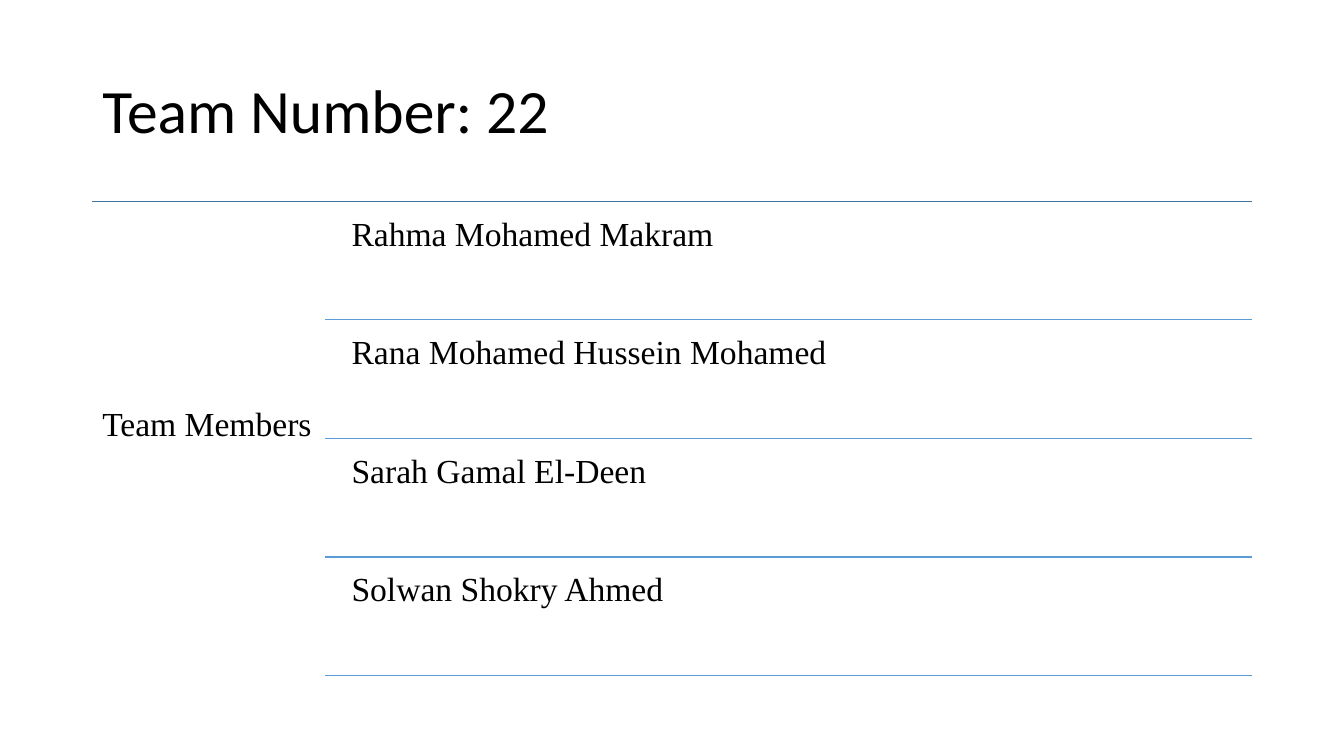
from pptx import Presentation
from pptx.dml.color import RGBColor
from pptx.enum.shapes import MSO_CONNECTOR
from pptx.enum.text import MSO_ANCHOR, MSO_AUTO_SIZE, PP_ALIGN
from pptx.oxml.ns import qn
from pptx.util import Pt

STRAIGHT = MSO_CONNECTOR.STRAIGHT
TOP, MIDDLE = MSO_ANCHOR.TOP, MSO_ANCHOR.MIDDLE
LEFT_ALIGNED = PP_ALIGN.LEFT
NO_AUTOFIT = MSO_AUTO_SIZE.NONE

BLACK = RGBColor(0x00, 0x00, 0x00)
DARK_BLUE = RGBColor(0x43, 0x73, 0x9E)
BLUE = RGBColor(0x5B, 0x9B, 0xD5)

MEMBERS = [
    "Rahma Mohamed Makram",
    "Rana Mohamed Hussein Mohamed",
    "Sarah Gamal El-Deen",
    "Solwan Shokry Ahmed",
]
LEFT, RIGHT = 66, 894
LIST_TOP = 144
LABEL_WIDTH = 166
NAME_LEFT, FIRST_NAME_TOP = 244, 147.8
NAME_HEIGHT, ROW_PITCH = 80.6, 84.7
INSET = 7.2


class TeamSlide:
    title_font = "Calibri"
    body_font = "Times New Roman"
    title_size = 44
    body_size = 24
    line_spacing = 0.9

    def __init__(self, presentation):
        self.slide = presentation.slides.add_slide(presentation.slide_layouts[5])

    def fill_frame(self, frame, text, font, size, anchor):
        frame.word_wrap = True
        frame.auto_size = NO_AUTOFIT
        frame.vertical_anchor = anchor
        paragraph = frame.paragraphs[0]
        paragraph.alignment = LEFT_ALIGNED
        paragraph.line_spacing = self.line_spacing
        run = paragraph.add_run()
        run.text = text
        run.font.name = font
        run.font.size = Pt(size)
        run.font.color.rgb = BLACK

    def title(self, text, left, top, width, height):
        shape = self.slide.shapes.title
        shape.left, shape.top = Pt(left), Pt(top)
        shape.width, shape.height = Pt(width), Pt(height)
        self.fill_frame(shape.text_frame, text, self.title_font, self.title_size, MIDDLE)

    def text(self, text, left, top, width, height, top_inset=INSET):
        shape = self.slide.shapes.add_textbox(Pt(left), Pt(top), Pt(width), Pt(height))
        frame = shape.text_frame
        frame.margin_left = frame.margin_right = frame.margin_bottom = Pt(INSET)
        frame.margin_top = Pt(top_inset)
        self.fill_frame(frame, text, self.body_font, self.body_size, TOP)

    def rule(self, left, right, top, color):
        connector = self.slide.shapes.add_connector(
            STRAIGHT, Pt(left), Pt(top), Pt(right), Pt(top))
        connector.line.color.rgb = color
        connector.line.width = Pt(1)
        properties = connector._element.spPr
        properties.append(properties.makeelement(qn("a:effectLst"), {}))


def main():
    presentation = Presentation()
    presentation.slide_width = Pt(960)
    presentation.slide_height = Pt(540)

    team = TeamSlide(presentation)
    team.title("Team Number: 22", LEFT, 28.8, RIGHT - LEFT, 104.4)
    team.rule(LEFT, RIGHT, LIST_TOP, DARK_BLUE)
    team.text("Team Members", LEFT, LIST_TOP, LABEL_WIDTH, 342.7, top_inset=147.2)
    for row, member in enumerate(MEMBERS):
        top = FIRST_NAME_TOP + row * ROW_PITCH
        team.text(member, NAME_LEFT, top, RIGHT - NAME_LEFT, NAME_HEIGHT)
        team.rule(LEFT + LABEL_WIDTH, RIGHT, top + NAME_HEIGHT, BLUE)

    presentation.save("out.pptx")


if __name__ == "__main__":
    main()
